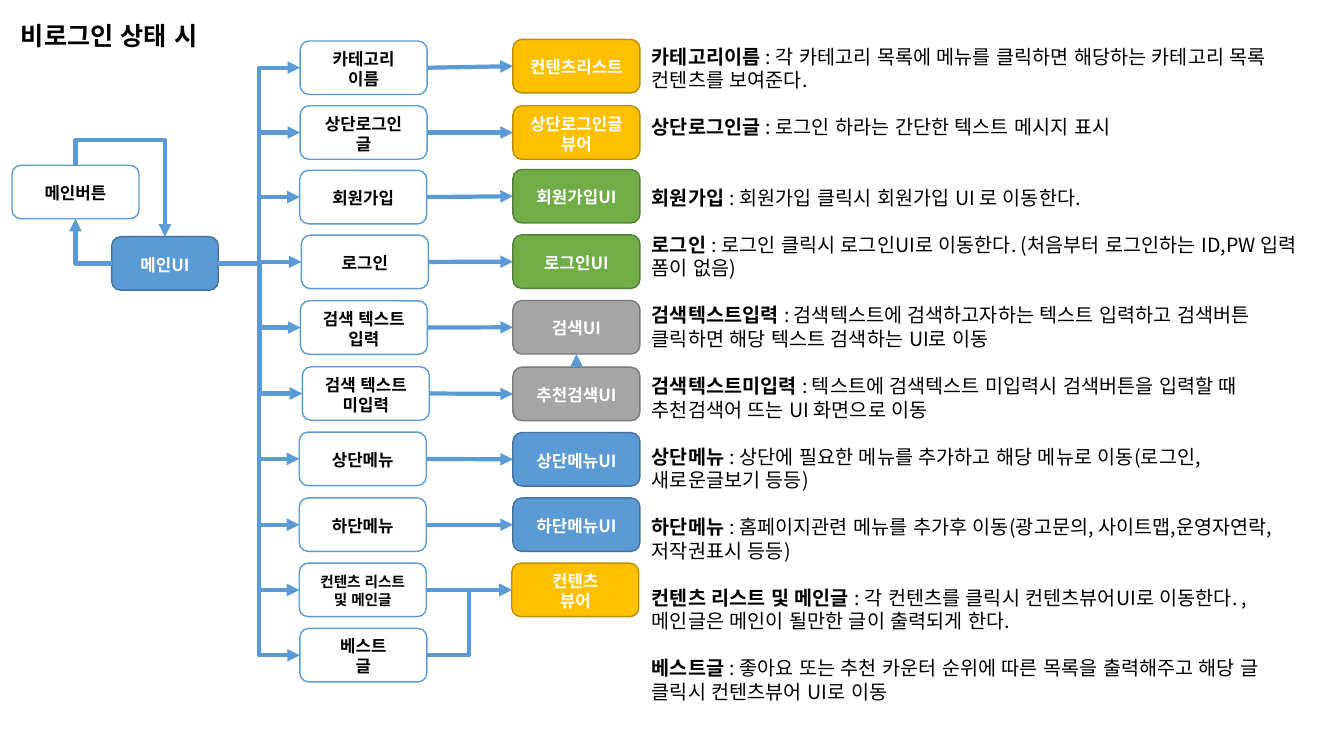
from pptx import Presentation
from pptx import util as u
from pptx.dml.color import RGBColor
from pptx.enum import lang, shapes, text
from pptx.oxml import ns
from lxml import etree

FONT = "Noto Sans CJK KR"
WHITE, BLACK, BLUE = "FFFFFF", "000000", "5B9BD5"
OUTLINES = {WHITE: BLUE, BLUE: "43739E", "FFC000": "BD8E00",
            "70AD47": "538035", "A5A5A5": "7A7A7A"}
YELLOW, GREEN, GRAY = "FFC000", "70AD47", "A5A5A5"
BOX_W, BOX_H = 90.7, 38.2
TARGET_LEFT = 366.4
MAIN_UI = (79.8, 169.1, 76.1)
MAIN_BUTTON = (8.6, 118.1, BOX_W)

# Menu left, menu top, menu lines, target top, target lines, target fill
MENU_ROWS = [
    (214.4, 29.3, ["카테고리", "이름"], 28.2, ["컨텐츠리스트"], YELLOW),
    (214.4, 75.6, ["상단로그인", "글"], 75.6, ["상단로그인글", "뷰어"], YELLOW),
    (214.1, 121.7, ["회원가입"], 121.1, ["회원가입UI"], GREEN),
    (215.3, 168.0, ["로그인"], 167.8, ["로그인UI"], GREEN),
    (214.6, 214.9, ["검색 텍스트", "입력"], 214.7, ["검색UI"], GRAY),
    (216.0, 262.0, ["검색 텍스트", "미입력"], 262.3, ["추천검색UI"], GRAY),
    (213.8, 308.7, ["상단메뉴"], 309.0, ["상단메뉴UI"], BLUE),
    (213.8, 355.7, ["하단메뉴"], 355.7, ["하단메뉴UI"], BLUE),
    (213.8, 402.3, ["컨텐츠 리스트", "및 메인글"], 402.3, ["컨텐츠", "뷰어"], YELLOW),
    (214.2, 448.9, ["베스트", "글"], None, None, None),
]

# Blank lines above, term, explanation
DESCRIPTIONS = [
    (0, "카테고리이름 ", ": 각 카테고리 목록에 메뉴를 클릭하면 해당하는 카테고리 목록 컨텐츠를 보여준다."),
    (1, "상단로그인글 ", ": 로그인 하라는 간단한 텍스트 메시지 표시"),
    (2, "회원가입 ", ": 회원가입 클릭시 회원가입 UI 로 이동한다."),
    (1, "로그인 ", ": 로그인 클릭시 로그인UI로 이동한다. (처음부터 로그인하는 ID,PW 입력 폼이 없음)"),
    (1, "검색텍스트입력 ", ": 검색텍스트에 검색하고자하는 텍스트 입력하고 검색버튼 클릭하면 "
                  "해당 텍스트 검색하는 UI로 이동"),
    (1, "검색텍스트미입력 ", ": 텍스트에 검색텍스트 미입력시 검색버튼을 입력할 때 추천검색어 뜨는 UI 화면으로 이동"),
    (1, "상단메뉴 ", ": 상단에 필요한 메뉴를 추가하고 해당 메뉴로 이동(로그인,새로운글보기 등등)"),
    (1, "하단메뉴 ", ": 홈페이지관련 메뉴를 추가후 이동(광고문의, 사이트맵,운영자연락,저작권표시 등등)"),
    (1, "컨텐츠 리스트 및 메인글 ", ": 각 컨텐츠를 클릭시 컨텐츠뷰어UI로 이동한다. , "
                         "메인글은 메인이 될만한 글이 출력되게 한다."),
    (1, "베스트글 ", ": 좋아요 또는 추천 카운터 순위에 따른 목록을 출력해주고 "
                 "해당 글 클릭시 컨텐츠뷰어 UI로 이동"),
]


def rgb(code):
    return RGBColor.from_string(code)


def add_span(para, words, size, color=BLACK, bold=True):
    span = para.add_run()
    span.text = words
    font = span.font
    font.name, font.size, font.bold = FONT, u.Pt(size), bold
    font.color.rgb = rgb(color)
    font.language_id = lang.MSO_LANGUAGE_ID.KOREAN
    east_asian = etree.SubElement(font._element, ns.qn("a:ea"))
    east_asian.set("typeface", FONT)


def add_paragraph(frame, index, size):
    para = frame.add_paragraph() if index else frame.paragraphs[0]
    para.line_spacing = u.Pt(size * 1.2)
    return para


def add_box(page, left, top, width, lines, fill, size=12):
    box = page.shapes.add_shape(shapes.MSO_SHAPE.ROUNDED_RECTANGLE,
                                u.Pt(left), u.Pt(top), u.Pt(width), u.Pt(BOX_H))
    box.shadow.inherit = False
    box.fill.solid()
    box.fill.fore_color.rgb = rgb(fill)
    box.line.color.rgb = rgb(OUTLINES[fill])
    box.line.width = u.Pt(1)
    frame = box.text_frame
    frame.word_wrap = True
    frame.vertical_anchor = text.MSO_ANCHOR.MIDDLE
    frame.margin_top, frame.margin_bottom = u.Pt(5), u.Pt(3.6)
    for index, words in enumerate(lines):
        para = add_paragraph(frame, index, size)
        para.alignment = text.PP_ALIGN.CENTER
        add_span(para, words, size, BLACK if fill == WHITE else WHITE)


def add_arrow(page, start, end, kind=shapes.MSO_CONNECTOR.STRAIGHT):
    arrow = page.shapes.add_connector(kind, *(u.Pt(v) for v in (*start, *end)))
    arrow.line.color.rgb = rgb(BLUE)
    arrow.line.width = u.Pt(3)
    line = arrow.line._get_or_add_ln()
    etree.SubElement(line, ns.qn("a:tailEnd")).set("type", "triangle")
    etree.SubElement(arrow._element.spPr, ns.qn("a:effectLst"))
    return arrow


def add_elbow(page, start, end):
    return add_arrow(page, start, end, shapes.MSO_CONNECTOR.ELBOW)


def add_text_box(page, left, top, width, height):
    box = page.shapes.add_textbox(u.Pt(left), u.Pt(top), u.Pt(width), u.Pt(height))
    box.text_frame.word_wrap = True
    return box.text_frame


def add_descriptions(page):
    frame = add_text_box(page, 458.6, 10.8, 476.6, 550)
    frame.margin_top = u.Pt(21)
    for index, (gap, term, explanation) in enumerate(DESCRIPTIONS):
        para = add_paragraph(frame, index, 14)
        para.space_before = u.Pt(16.8 * gap)
        add_span(para, term, 14)
        add_span(para, explanation, 14, bold=False)


def add_main_loop(page):
    # Corner arrow from the main UI up to the main button
    middle = MAIN_BUTTON[0] + BOX_W / 2
    corner = add_elbow(page, (MAIN_UI[0], MAIN_UI[1] + BOX_H / 2),
                       (middle, MAIN_BUTTON[1] + BOX_H))
    corner._element.spPr.find(ns.qn("a:prstGeom")).set("prst", "bentConnector2")
    # Return arrow over the top, turned a quarter to the left
    across = MAIN_UI[0] + MAIN_UI[2] / 2 - middle
    down = MAIN_UI[1] - MAIN_BUTTON[1]
    center_x, center_y = middle + across / 2, MAIN_BUTTON[1] + down / 2
    back = add_elbow(page, (center_x + down / 2, center_y - across / 2),
                     (center_x - down / 2, center_y + across / 2))
    properties = back._element.spPr
    properties.find(ns.qn("a:xfrm")).set("rot", "16200000")
    geometry = properties.find(ns.qn("a:prstGeom"))
    guides = geometry.find(ns.qn("a:avLst"))
    if guides is None:
        guides = etree.SubElement(geometry, ns.qn("a:avLst"))
    guide = etree.SubElement(guides, ns.qn("a:gd"))
    guide.set("name", "adj1")
    guide.set("fmla", "val -35500")


def add_menu_rows(page):
    half = BOX_H / 2
    trunk = (MAIN_UI[0] + MAIN_UI[2], MAIN_UI[1] + half)
    for left, top, lines, target_top, target_lines, fill in MENU_ROWS:
        add_box(page, left, top, BOX_W, lines, WHITE,
                10.5 if lines[0] == "컨텐츠 리스트" else 12)
        add_elbow(page, trunk, (left, top + half))
        exit_point = (left + BOX_W, top + half)
        if target_lines:
            target_left = TARGET_LEFT - (0.8 if target_lines[0] == "컨텐츠" else 0)
            target = (target_left, target_top + half)
            add_box(page, target_left, target_top, BOX_W, target_lines, fill)
            add_arrow(page, exit_point, target)
        else:
            # The last row joins the target above it
            add_elbow(page, exit_point, target)


def main():
    deck = Presentation()
    deck.slide_width, deck.slide_height = u.Pt(960), u.Pt(540)
    page = deck.slides.add_slide(deck.slide_layouts[6])
    # Title
    title = add_text_box(page, 7.9, 10.8, 177.8, 28.8)
    add_span(add_paragraph(title, 0, 18), "비로그인 상태 시", 18)
    # Main boxes and flow
    add_box(page, *MAIN_UI, ["메인UI"], BLUE)
    add_box(page, *MAIN_BUTTON, ["메인버튼"], WHITE)
    add_main_loop(page)
    add_menu_rows(page)
    # Suggested search leads up to search
    add_arrow(page, (411.8, 262.3), (411.8, 252.9))
    # Explanations
    add_descriptions(page)
    deck.save("out.pptx")


if __name__ == "__main__":
    main()
